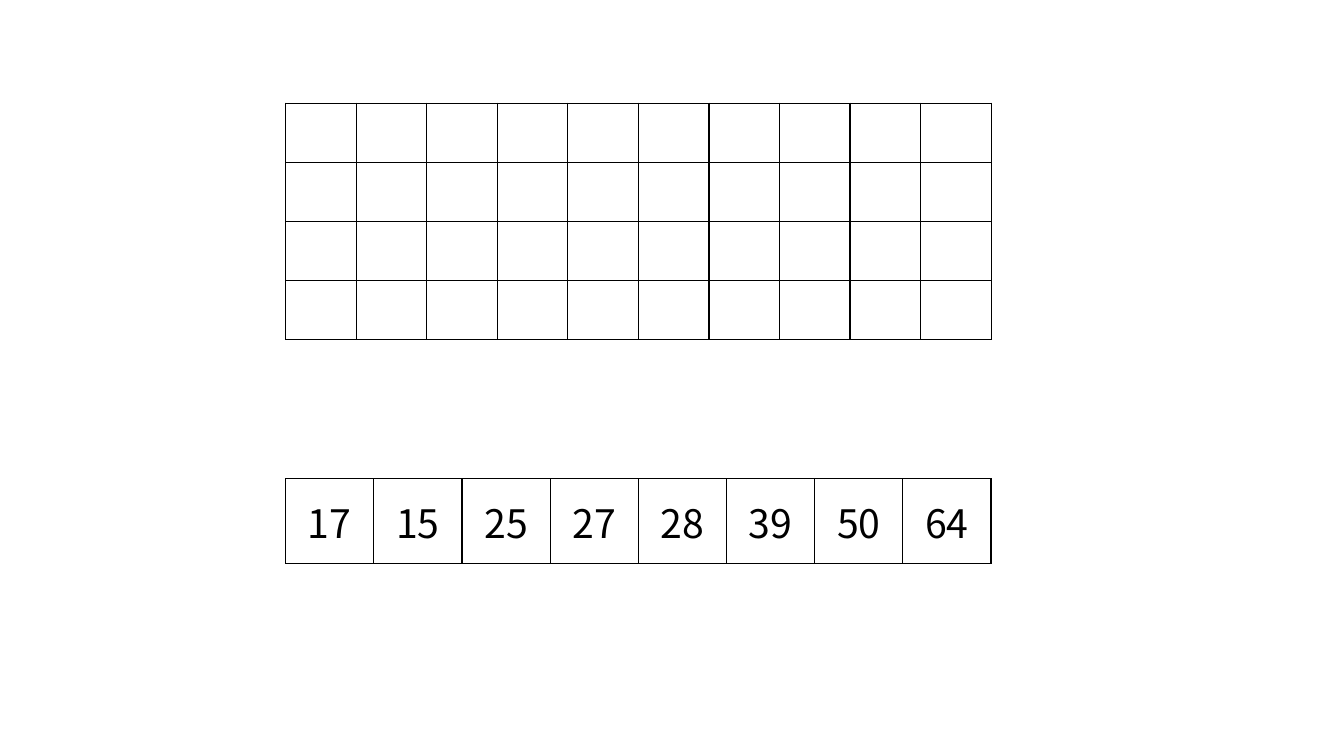
"""Build a slide with an empty grid above a row of numbers."""
from dataclasses import dataclass
from typing import Optional

import lxml.etree
import pptx
import pptx.dml.color
import pptx.enum.text
import pptx.oxml.ns
import pptx.presentation
import pptx.slide
import pptx.table
import pptx.util

Pt = pptx.util.Pt


@dataclass(frozen=True)
class Theme:
    """Colours, font and sizes of the slide."""
    ink: str = "000000"
    paper: str = "FFFFFF"
    font: str = "Noto Sans CJK KR"
    number_size: float = 28
    border_width: float = 1


@dataclass(frozen=True)
class Grid:
    """A table of equal cells; a fill of None leaves cells transparent."""
    top: float
    height: float
    rows: list[list[str]]
    fill: Optional[str] = None


THEME = Theme()
GRID_LEFT, GRID_WIDTH = 204, 504
NUMBER_ROW = Grid(342, 60.5, [["17", "15", "25", "27", "28", "39", "50", "64"]])
EMPTY_GRID = Grid(73.8, 168.6, [[""] * 10 for _ in range(4)], THEME.paper)


def add_borders(cell: pptx.table._Cell) -> None:
    """Draw a solid line on all four sides of a cell."""
    properties = cell._tc.get_or_add_tcPr()
    qn = pptx.oxml.ns.qn
    for side in ("a:lnL", "a:lnR", "a:lnT", "a:lnB"):
        line = lxml.etree.SubElement(
            properties, qn(side), w=str(Pt(THEME.border_width)))
        fill = lxml.etree.SubElement(line, qn("a:solidFill"))
        lxml.etree.SubElement(fill, qn("a:srgbClr"), val=THEME.ink)


def format_cell(cell: pptx.table._Cell, text: str, fill: Optional[str]) -> None:
    """Give a cell its borders, fill and centred text."""
    add_borders(cell)
    if fill is None:
        cell.fill.background()
    else:
        cell.fill.solid()
        cell.fill.fore_color.rgb = pptx.dml.color.RGBColor.from_string(fill)
    cell.vertical_anchor = pptx.enum.text.MSO_ANCHOR.MIDDLE
    cell.text_frame.text = text
    paragraph = cell.text_frame.paragraphs[0]
    paragraph.alignment = pptx.enum.text.PP_ALIGN.CENTER
    for run in paragraph.runs:
        run.font.name = THEME.font
        run.font.size = Pt(THEME.number_size)
        run.font.color.rgb = pptx.dml.color.RGBColor.from_string(THEME.ink)


def add_grid(slide: pptx.slide.Slide, grid: Grid) -> None:
    """Add a table with equal rows and columns."""
    row_count, column_count = len(grid.rows), len(grid.rows[0])
    table = slide.shapes.add_table(
        row_count, column_count, Pt(GRID_LEFT), Pt(grid.top),
        Pt(GRID_WIDTH), Pt(grid.height)).table
    table.first_row = table.horz_banding = False
    for row, texts in zip(table.rows, grid.rows):
        for cell, text in zip(row.cells, texts):
            format_cell(cell, text, grid.fill)


def build() -> pptx.presentation.Presentation:
    """Create the presentation with its single slide."""
    presentation = pptx.Presentation()
    presentation.slide_width, presentation.slide_height = Pt(960), Pt(540)
    slide = presentation.slides.add_slide(presentation.slide_layouts[6])
    for grid in (NUMBER_ROW, EMPTY_GRID):
        add_grid(slide, grid)
    return presentation


build().save("out.pptx")
